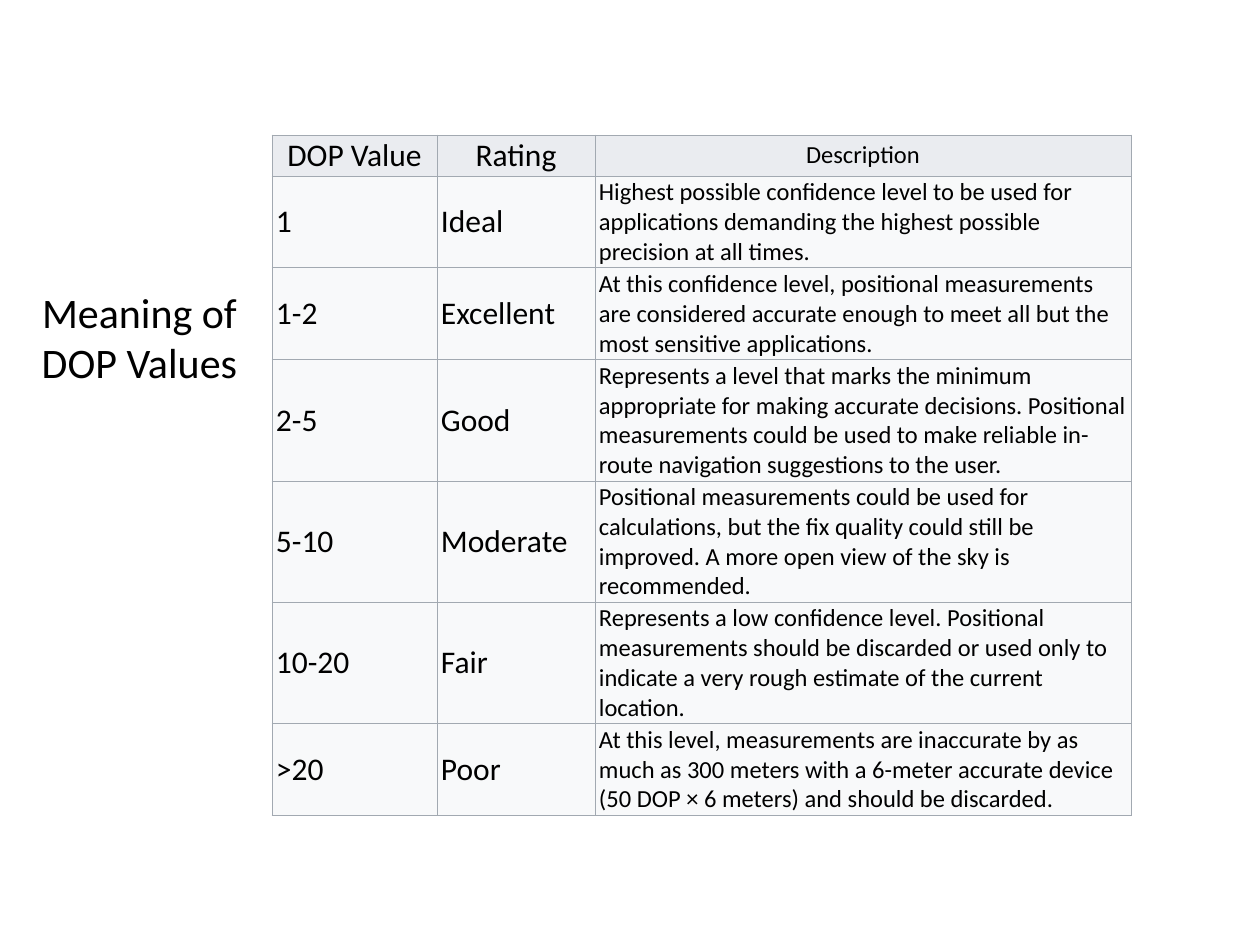
from lxml import etree
from pptx import Presentation
from pptx.dml.color import RGBColor
from pptx.enum.text import MSO_ANCHOR, MSO_AUTO_SIZE, PP_ALIGN
from pptx.oxml.ns import qn
from pptx.util import Emu, Pt

TOP, MIDDLE = MSO_ANCHOR.TOP, MSO_ANCHOR.MIDDLE
LEFT, CENTER = PP_ALIGN.LEFT, PP_ALIGN.CENTER
NO_FIT = MSO_AUTO_SIZE.NONE
BLACK = RGBColor(0x00, 0x00, 0x00)
GRAY = RGBColor(0xA2, 0xA9, 0xB1)
HEAD = RGBColor(0xEA, 0xEC, 0xF0)
BODY = RGBColor(0xF8, 0xF9, 0xFA)

SCALE = 914400 / 126
COLS = [165, 158, 536]
HEIGHTS = [41, 92, 92, 121, 121, 121, 92]
SIZES = [18, 18, 14]
ROWS = [
    ("DOP Value", "Rating", "Description"),
    ("1", "Ideal",
     "Highest possible confidence level to be used for applications "
     "demanding the highest possible precision at all times."),
    ("1-2", "Excellent",
     "At this confidence level, positional measurements are considered "
     "accurate enough to meet all but the most sensitive applications."),
    ("2-5", "Good",
     "Represents a level that marks the minimum appropriate for making "
     "accurate decisions. Positional measurements could be used to make "
     "reliable in-route navigation suggestions to the user."),
    ("5-10", "Moderate",
     "Positional measurements could be used for calculations, but the fix "
     "quality could still be improved. A more open view of the sky is "
     "recommended."),
    ("10-20", "Fair",
     "Represents a low confidence level. Positional measurements should be "
     "discarded or used only to indicate a very rough estimate of the "
     "current location."),
    (">20", "Poor",
     "At this level, measurements are inaccurate by as much as 300 meters "
     "with a 6-meter accurate device (50 DOP × 6 meters) and should be "
     "discarded."),
]


def px(n):
    return Emu(round(n * SCALE))


class Deck:
    face = "Calibri"

    def __init__(self, wide, high):
        self.prs = Presentation()
        self.prs.slide_width, self.prs.slide_height = px(wide), px(high)
        self.slide = self.prs.slides.add_slide(self.prs.slide_layouts[5])

    def style(self, para, size, align):
        para.alignment = align
        font = para.font
        font.name, font.size, font.color.rgb = self.face, Pt(size), BLACK

    def title(self, text, x, y, w, h, size):
        shape = self.slide.shapes.title
        shape.left, shape.top = px(x), px(y)
        shape.width, shape.height = px(w), px(h)
        frame = shape.text_frame
        frame.text = text
        frame.word_wrap, frame.auto_size = True, NO_FIT
        frame.vertical_anchor = TOP
        self.style(frame.paragraphs[0], size, CENTER)

    def border(self, cell):
        props = cell._tc.get_or_add_tcPr()
        for side in ("a:lnL", "a:lnR", "a:lnT", "a:lnB"):
            line = etree.SubElement(props, qn(side), w=str(Pt(0.6)))
            fill = etree.SubElement(line, qn("a:solidFill"))
            etree.SubElement(fill, qn("a:srgbClr"), val=str(GRAY))

    def cell(self, cell, text, size, align, fill):
        cell.text = text
        cell.vertical_anchor = MIDDLE
        cell.margin_left = cell.margin_right = px(4)
        cell.margin_top = cell.margin_bottom = px(1)
        self.border(cell)
        cell.fill.solid()
        cell.fill.fore_color.rgb = fill
        self.style(cell.text_frame.paragraphs[0], size, align)

    def table(self, rows, x, y, cols, heights, sizes):
        grid = self.slide.shapes.add_table(
            len(rows), len(cols), px(x), px(y),
            px(sum(cols)), px(sum(heights))).table
        for col, wide in zip(grid.columns, cols):
            col.width = px(wide)
        for r, (row, high) in enumerate(zip(rows, heights)):
            grid.rows[r].height = px(high)
            align, fill = (LEFT, BODY) if r else (CENTER, HEAD)
            for c, (text, size) in enumerate(zip(row, sizes)):
                self.cell(grid.cell(r, c), text, size, align, fill)


def main():
    deck = Deck(1260, 945)
    deck.title("Meaning of DOP Values", 26, 280, 227, 165, 24)
    deck.table(ROWS, 272, 135, COLS, HEIGHTS, SIZES)
    deck.prs.save("out.pptx")


if __name__ == "__main__":
    main()
